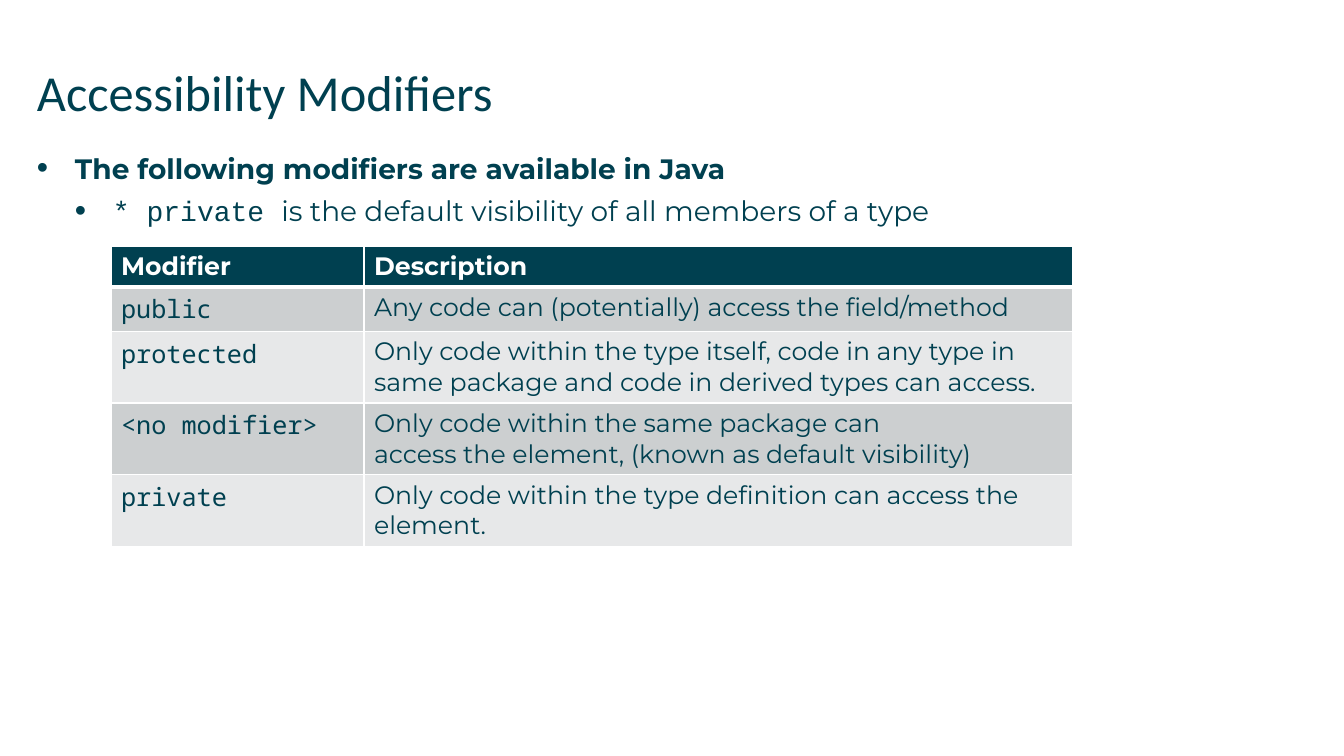
import pptx
import pptx.util
import pptx.dml.color
import pptx.enum.text
import pptx.oxml
import pptx.oxml.ns

HUES = {"ink": "004050", "white": "FFFFFF", "dark": "CCCFD0", "light": "E7E8E9"}
SANS, CODE = "Montserrat", "Noto Sans Mono"
TITLE = "Accessibility Modifiers"
POINTS = [
    [("The following modifiers are available in Java", SANS, True)],
    [("* private ", "Courier New", False),
     ("is the default visibility of all members of a type", SANS, False)],
]
ROWS = [
    ("Modifier", "Description"),
    ("public", "Any code can (potentially) access the field/method"),
    ("protected", "Only code within the type itself, code in any type in "
                  "same package and code in derived types can access."),
    ("<no modifier>", "Only code within the same package can \n"
                      "access the element, (known as default visibility)"),
    ("private", "Only code within the type definition can access the element."),
]
COLS = (253, 709)
ROW, STEP = 41, 38
TITLE_BOX = (37, 61, 1270, 89)
BODY_BOX = (37, 151, 1035, 89)
GRID = (111, 246)
SCALE = 914400 / 100.8


def px(num):
    return pptx.util.Emu(round(num * SCALE))


def color(name):
    return pptx.dml.color.RGBColor.from_string(HUES[name])


def add_run(para, text, font, size, hue="ink", bold=False):
    run = para.add_run()
    run.text = text
    run.font.name = font
    run.font.size = pptx.util.Pt(size)
    run.font.bold = bold
    run.font.color.rgb = color(hue)


def set_frame(frame):
    frame.margin_left = frame.margin_right = 0
    frame.margin_top = frame.margin_bottom = 0
    frame.word_wrap = True
    frame.auto_size = pptx.enum.text.MSO_AUTO_SIZE.NONE
    frame.vertical_anchor = pptx.enum.text.MSO_ANCHOR.TOP


def add_tag(parent, xml):
    head, tail = xml.split(" ", 1)
    space = pptx.oxml.ns.nsdecls("a")
    parent.append(pptx.oxml.parse_xml(f"{head} {space} {tail}"))


def set_bullet(para, level):
    props = para._p.get_or_add_pPr()
    props.set("marL", str(px(STEP * (level + 1))))
    props.set("indent", str(-px(STEP)))
    para.space_after = pptx.util.Pt(6.5)
    add_tag(props, '<a:buSzPct val="115000"/>')
    add_tag(props, '<a:buFont typeface="Arial"/>')
    add_tag(props, '<a:buChar char="•"/>')
    para.level = level


def set_edges(cell, row):
    wide = {"L": 1, "R": 1, "T": 3 if row == 1 else 1, "B": 3 if row == 0 else 1}
    props = cell._tc.get_or_add_tcPr()
    for side, width in wide.items():
        add_tag(props, f'<a:ln{side} w="{width * 12700}"><a:solidFill>'
                       f'<a:srgbClr val="{HUES["white"]}"/></a:solidFill></a:ln{side}>')


def add_title(slide):
    title = slide.shapes.title
    title.left, title.top, title.width, title.height = map(px, TITLE_BOX)
    set_frame(title.text_frame)
    para = title.text_frame.paragraphs[0]
    para.alignment = pptx.enum.text.PP_ALIGN.LEFT
    add_run(para, TITLE, "Calibri", 36)


def add_body(slide):
    frame = slide.shapes.add_textbox(*map(px, BODY_BOX)).text_frame
    set_frame(frame)
    for level, runs in enumerate(POINTS):
        para = frame.add_paragraph() if level else frame.paragraphs[0]
        set_bullet(para, level)
        for text, font, bold in runs:
            add_run(para, text, font, 20, bold=bold)


def add_grid(slide):
    size = (sum(COLS), ROW * len(ROWS))
    table = slide.shapes.add_table(len(ROWS), len(COLS), *map(px, GRID + size)).table
    for col, width in zip(table.columns, COLS):
        col.width = px(width)
    for row, texts in enumerate(ROWS):
        table.rows[row].height = px(ROW)
        top = row == 0
        fill = "ink" if top else ("light", "dark")[row % 2]
        for col, text in enumerate(texts):
            cell = table.cell(row, col)
            set_edges(cell, row)
            cell.fill.solid()
            cell.fill.fore_color.rgb = color(fill)
            font = SANS if top or col else CODE
            para = cell.text_frame.paragraphs[0]
            for num, line in enumerate(text.split("\n")):
                if num:
                    para.add_line_break()
                add_run(para, line, font, 18, "white" if top else "ink", top)


def main():
    deck = pptx.Presentation()
    deck.slide_width, deck.slide_height = px(1344), px(756)
    slide = deck.slides.add_slide(deck.slide_layouts[5])
    add_title(slide)
    add_body(slide)
    add_grid(slide)
    deck.save("out.pptx")


if __name__ == "__main__":
    main()
